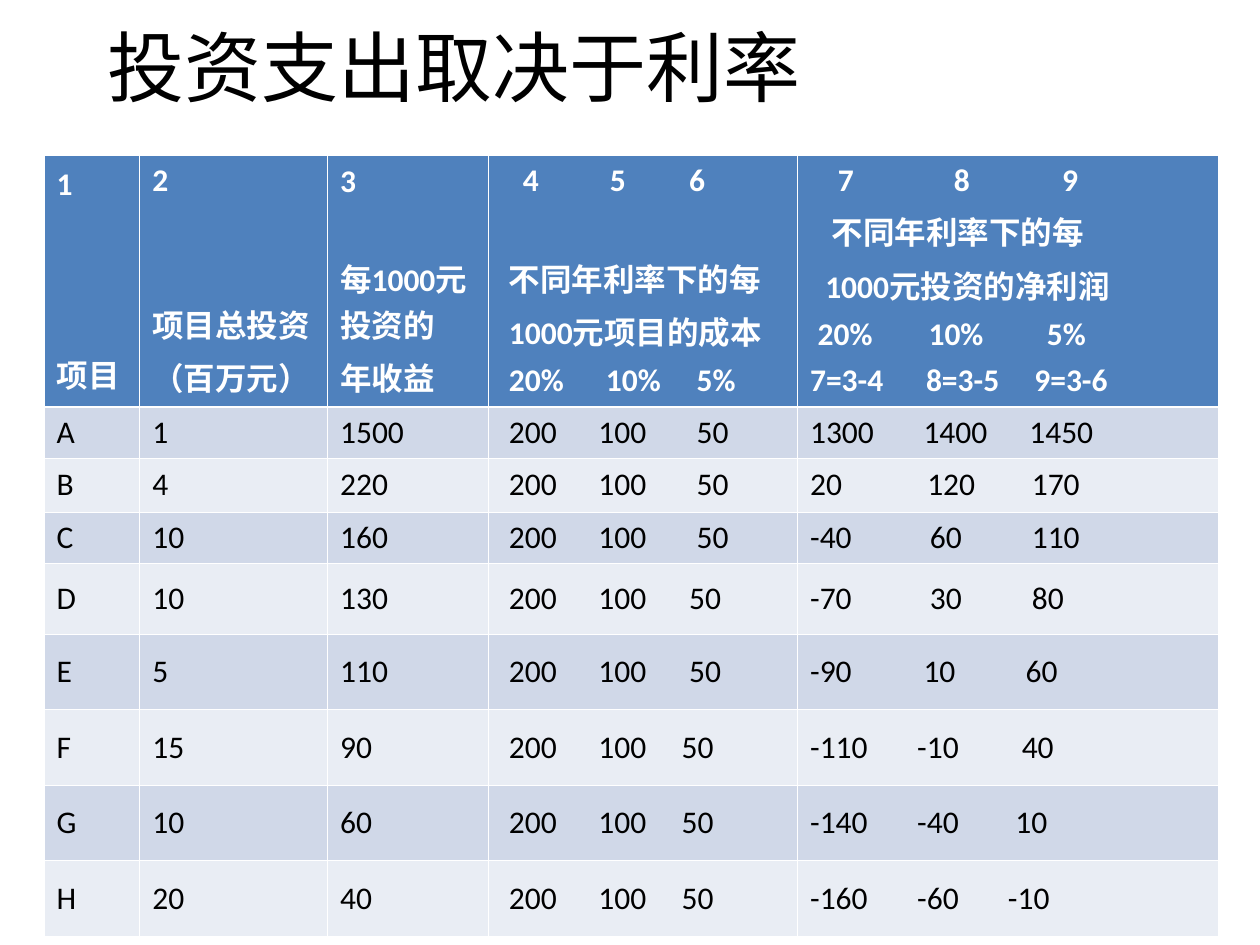
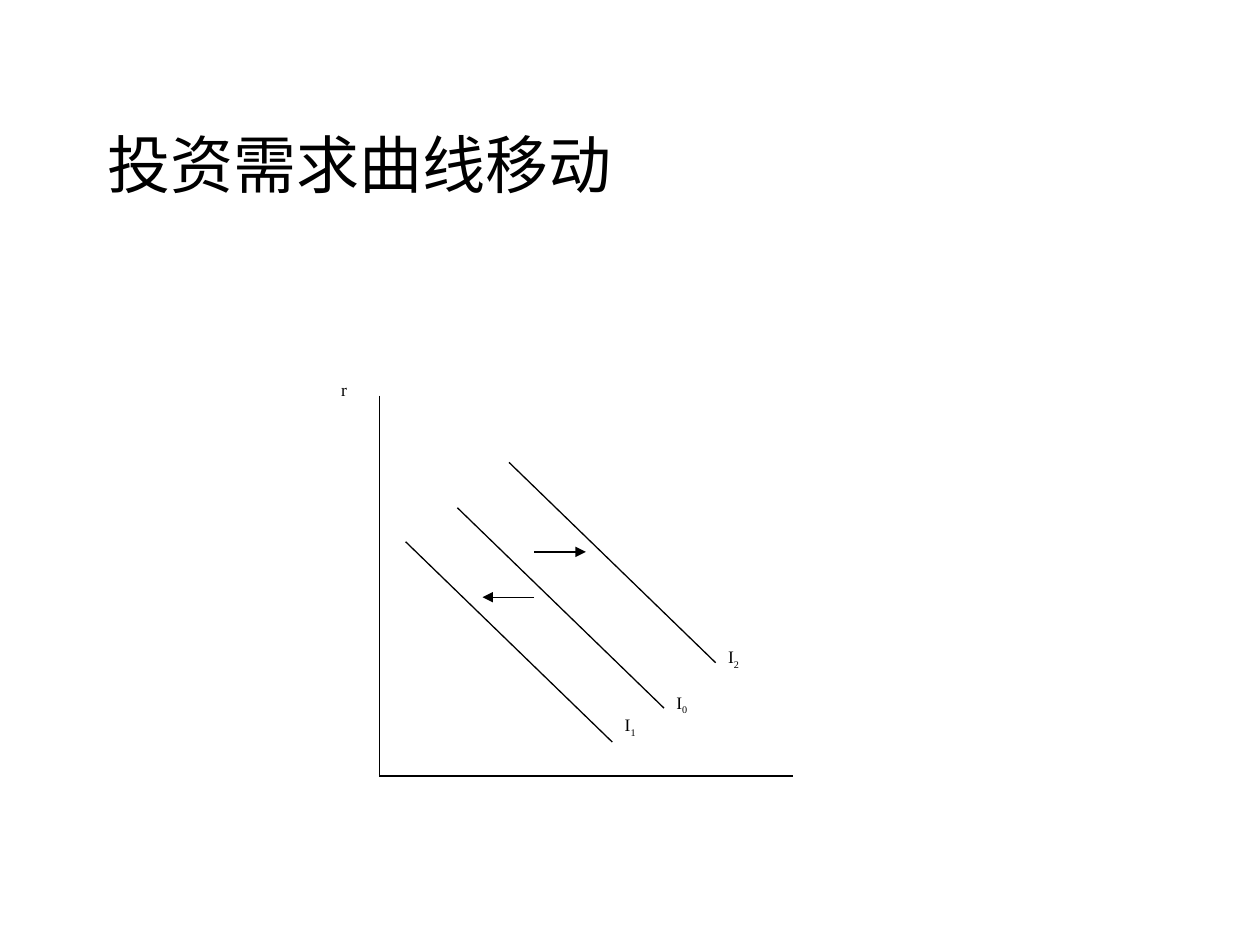
from lxml import etree
from pptx import Presentation
from pptx.dml.color import RGBColor
from pptx.enum.shapes import MSO_CONNECTOR, MSO_SHAPE
from pptx.enum.text import MSO_ANCHOR, PP_ALIGN
from pptx.oxml.ns import qn
from pptx.util import Inches, Pt

STRAIGHT = MSO_CONNECTOR.STRAIGHT
RECTANGLE = MSO_SHAPE.RECTANGLE
MIDDLE, TOP = MSO_ANCHOR.MIDDLE, MSO_ANCHOR.TOP
LEFT, JUSTIFY = PP_ALIGN.LEFT, PP_ALIGN.JUSTIFY

BLACK = RGBColor(0x00, 0x00, 0x00)
WHITE = RGBColor(0xFF, 0xFF, 0xFF)
HEADER_BLUE = RGBColor(0x4F, 0x81, 0xBD)
BAND_DARK = RGBColor(0xD0, 0xD8, 0xE8)
BAND_LIGHT = RGBColor(0xE9, 0xED, 0xF4)

TITLE_FONT = {"name": "Times New Roman", "color": BLACK}
HEADER_FONT = {"name": "Calibri", "size": Pt(18), "bold": True, "color": WHITE}
BODY_FONT = {"name": "Calibri", "size": Pt(18), "bold": False, "color": BLACK}
LABEL_FONT = {"name": "Times New Roman", "size": Pt(10), "color": BLACK}

COLUMN_WIDTHS = [0.76, 1.49, 1.28, 2.45, 3.34]
ROW_HEIGHTS = [2, 0.4, 0.43, 0.4, 0.56, 0.6, 0.6, 0.6, 0.6]
LINE_GAP = 4.5
BORDER, HEADER_BORDER = 0.45, 1.47

# Each header line: text, tab stops, space before
HEADER = [
    [("1", [], 0), ("项目", [], 84)],
    [("2", [], 0), ("项目总投资", [], 57.5), ("（百万元）", [], LINE_GAP)],
    [("3", [], 0), ("每1000元投资的", [], 31), ("年收益", [], LINE_GAP)],
    [
        ("\t4\t5\t6", [0.17, 0.86, 1.49], 0),
        ("\t不同年利率下的每", [0.06], 31),
        ("\t1000元项目的成本", [0.06], LINE_GAP),
        ("\t20%\t10%\t5%", [0.06, 0.83, 1.55], LINE_GAP),
    ],
    [
        ("\t7\t8\t9", [0.22, 1.14, 2], 0),
        ("\t不同年利率下的每", [0.17], LINE_GAP),
        ("\t1000元投资的净利润", [0.12], LINE_GAP),
        ("\t20%\t10%\t5%", [0.06, 0.94, 1.88], LINE_GAP),
        ("7=3-4\t8=3-5\t9=3-6", [0.92, 1.78], LINE_GAP),
    ],
]

COSTS = "\t200\t100\t50"
# Each project: name, investment, yield, last cost stop, profits, profit stops
PROJECTS = [
    ("A", "1", "1500", 1.55, "1300\t1400\t1450", [0.9, 1.74]),
    ("B", "4", "220", 1.55, "20\t120\t170", [0.93, 1.76]),
    ("C", "10", "160", 1.55, "-40\t60\t110", [0.95, 1.76]),
    ("D", "10", "130", 1.49, "-70\t30\t80", [0.95, 1.76]),
    ("E", "5", "110", 1.49, "-90\t10\t60", [0.9, 1.71]),
    ("F", "15", "90", 1.43, "-110\t-10\t40", [0.85, 1.68]),
    ("G", "10", "60", 1.43, "-140\t-40\t10", [0.85, 1.63]),
    ("H", "20", "40", 1.43, "-160\t-60\t-10", [0.85, 1.57]),
]

CURVE_RUN, CURVE_DROP = 1.64, 1.59
# Each curve: subscript, start x, start y, label rise above the curve's end
CURVES = [("0", 1.02, 1.07, 0.18), ("2", 1.43, 0.71, 0.18), ("1", 0.61, 1.34, 0.27)]
SHIFT_ARROWS = [(1.63, 2.04, 1.42), (1.63, 1.22, 1.78)]


def apply_font(font, formats):
    for name, value in formats.items():
        if name == "color":
            font.color.rgb = value
        else:
            setattr(font, name, value)


def add_span(para, text, formats):
    span = para.add_run()
    span.text = text
    apply_font(span.font, formats)
    return span


def add_page(deck, title, size, top):
    page = deck.slides.add_slide(deck.slide_layouts[5])
    box = page.shapes.title
    place = {"left": 0.75, "top": top, "width": 8.5, "height": 1.25}
    for name, value in place.items():
        setattr(box, name, Inches(value))
    box.text_frame.vertical_anchor = MIDDLE
    para = box.text_frame.paragraphs[0]
    para.alignment = LEFT
    add_span(para, title, {**TITLE_FONT, "size": Pt(size)})
    return page


def add_tab_stops(para, stops):
    if stops:
        tab_list = etree.SubElement(para._p.get_or_add_pPr(), qn("a:tabLst"))
        for stop in stops:
            etree.SubElement(tab_list, qn("a:tab"), pos=str(Inches(stop)), algn="l")


def set_borders(cell, widths):
    properties = cell._tc.get_or_add_tcPr()
    for side, width in widths.items():
        line = etree.SubElement(properties, qn(f"a:ln{side}"), w=str(Pt(width)))
        fill = etree.SubElement(line, qn("a:solidFill"))
        etree.SubElement(fill, qn("a:srgbClr"), val=str(WHITE))


def fill_cell(cell, lines, formats, fill, top_border, bottom_border):
    set_borders(cell, {"L": BORDER, "R": BORDER, "T": top_border, "B": bottom_border})
    cell.fill.solid()
    cell.fill.fore_color.rgb = fill
    cell.vertical_anchor = MIDDLE
    for index, (text, stops, space) in enumerate(lines):
        frame = cell.text_frame
        para = frame.add_paragraph() if index else frame.paragraphs[0]
        para.space_before = Pt(space)
        add_tab_stops(para, stops)
        add_span(para, text, formats)


def add_project_table(page, left, top):
    width, height = sum(COLUMN_WIDTHS), sum(ROW_HEIGHTS)
    frame = page.shapes.add_table(
        len(ROW_HEIGHTS), len(COLUMN_WIDTHS),
        Inches(left), Inches(top), Inches(width), Inches(height))
    table = frame.table
    for column, column_width in zip(table.columns, COLUMN_WIDTHS):
        column.width = Inches(column_width)
    for row, row_height in zip(table.rows, ROW_HEIGHTS):
        row.height = Inches(row_height)
    for cell, lines in zip(table.rows[0].cells, HEADER):
        fill_cell(cell, lines, HEADER_FONT, HEADER_BLUE, BORDER, HEADER_BORDER)
    for number, project in enumerate(PROJECTS, 1):
        name, investment, income, last_cost, profits, profit_stops = project
        values = [
            (name, []), (investment, []), (income, []),
            (COSTS, [0.06, 0.77, last_cost]), (profits, profit_stops),
        ]
        fill = BAND_DARK if number % 2 else BAND_LIGHT
        top_border = HEADER_BORDER if number == 1 else BORDER
        for cell, (text, stops) in zip(table.rows[number].cells, values):
            fill_cell(cell, [(text, stops, 0)], BODY_FONT, fill, top_border, BORDER)


def add_line(page, start_x, start_y, end_x, end_y, arrow=False):
    line = page.shapes.add_connector(
        STRAIGHT, Inches(start_x), Inches(start_y), Inches(end_x), Inches(end_y))
    line.line.color.rgb = BLACK
    line.line.width = Pt(0.75)
    if arrow:
        etree.SubElement(line.line._get_or_add_ln(), qn("a:tailEnd"), type="triangle")
    etree.SubElement(line._element.spPr, qn("a:effectLst"))


def write_label(box, text, subscript=""):
    frame = box.text_frame
    frame.word_wrap = True
    frame.vertical_anchor = TOP
    para = frame.paragraphs[0]
    para.alignment = JUSTIFY
    add_span(para, text, LABEL_FONT)
    if subscript:
        span = add_span(para, subscript, LABEL_FONT)
        span._r.get_or_add_rPr().set("baseline", "-25000")


def add_demand_diagram(page, left, top, width, height):
    rate_label = page.shapes.add_shape(
        RECTANGLE, Inches(left), Inches(top), Inches(0.41), Inches(0.53))
    rate_label.shadow.inherit = False
    rate_label.fill.solid()
    rate_label.fill.fore_color.rgb = WHITE
    rate_label.line.fill.background()
    write_label(rate_label, "r")

    axis_x, bottom = left + 0.4, top + height
    add_line(page, axis_x, top + 0.18, axis_x, bottom)
    add_line(page, axis_x, bottom, left + width, bottom)

    for subscript, offset_x, offset_y, rise in CURVES:
        start_x, start_y = left + offset_x, top + offset_y
        end_x, end_y = start_x + CURVE_RUN, start_y + CURVE_DROP
        add_line(page, start_x, start_y, end_x, end_y)
        label = page.shapes.add_textbox(
            Inches(end_x), Inches(end_y - rise), Inches(0.61), Inches(0.53))
        write_label(label, "I", subscript)

    for start_x, end_x, offset_y in SHIFT_ARROWS:
        arrow_y = top + offset_y
        add_line(page, left + start_x, arrow_y, left + end_x, arrow_y, arrow=True)


def main():
    deck = Presentation()
    deck.slide_width, deck.slide_height = Inches(10), Inches(7.5)
    table_page = add_page(deck, "投资支出取决于利率", 44, -0.1)
    add_project_table(table_page, 0.35, 1.23)
    diagram_page = add_page(deck, "投资需求曲线移动", 36, 0.67)
    add_demand_diagram(diagram_page, 2.61, 2.96, 3.68, 3.2)
    deck.save("out.pptx")


if __name__ == "__main__":
    main()
